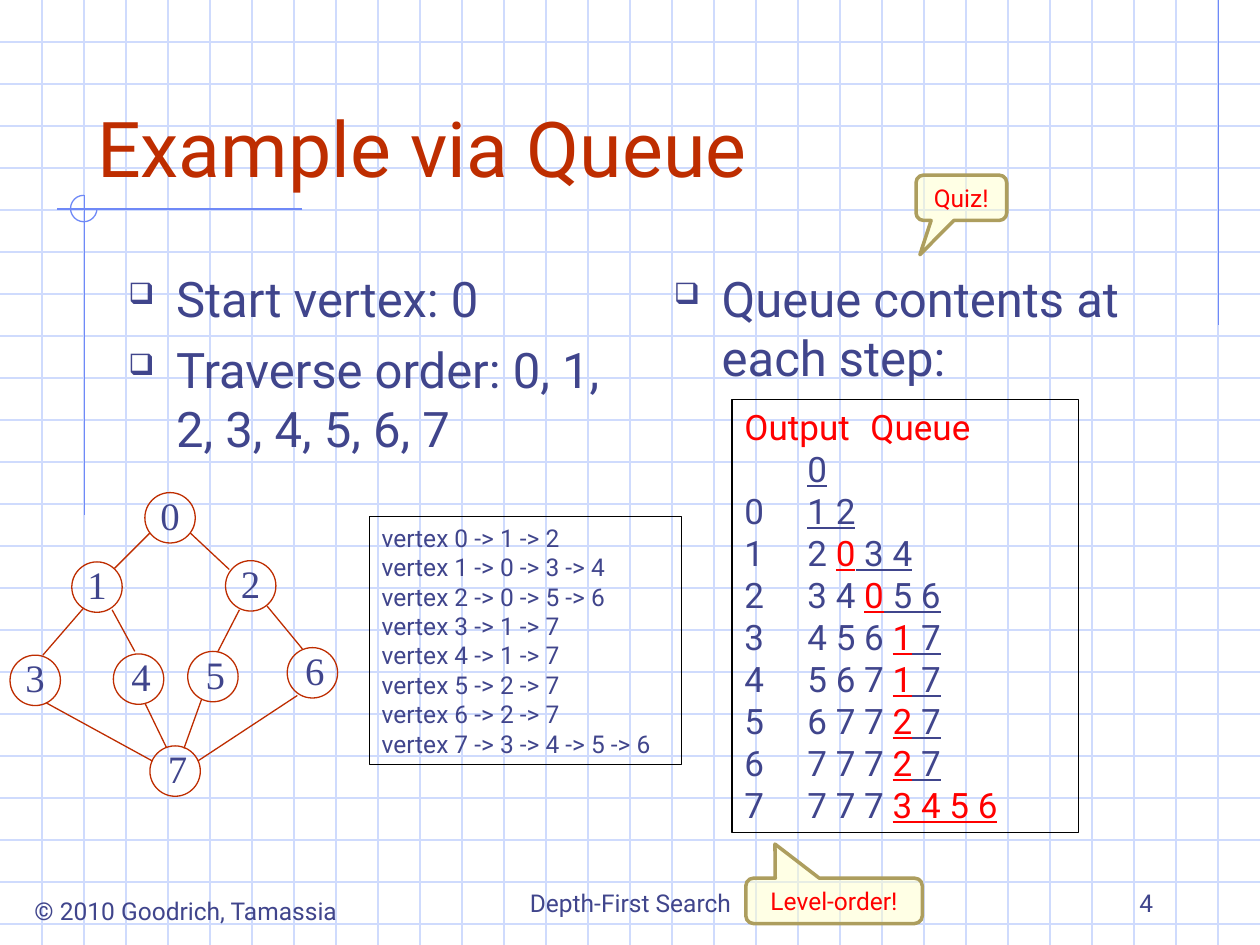
from lxml import etree
from pptx import Presentation
from pptx.dml.color import RGBColor
from pptx.enum import shapes, text
from pptx.oxml import ns
from pptx.util import Inches, Pt

INK = RGBColor(0x40, 0x45, 0x8C)
RUST = RGBColor(0xBE, 0x2D, 0x00)
RED = RGBColor(0xFF, 0x00, 0x00)
BLACK = RGBColor(0x00, 0x00, 0x00)
GRID = RGBColor(0xCF, 0xDB, 0xFD)
ACCENT = RGBColor(0x6F, 0x89, 0xF7)
CREAM = RGBColor(0xFF, 0xFF, 0xCC)
KHAKI = RGBColor(0xAD, 0x9E, 0x5E)

LEFT, CENTER, RIGHT = text.PP_ALIGN.LEFT, text.PP_ALIGN.CENTER, text.PP_ALIGN.RIGHT
TOP, MIDDLE, BOTTOM = text.MSO_ANCHOR.TOP, text.MSO_ANCHOR.MIDDLE, text.MSO_ANCHOR.BOTTOM
KIND = shapes.MSO_SHAPE

WIDTH, HEIGHT = 10, 7.5
TITLE = "Example via Queue"
BODIES = [
    ((0.92, 2.08, 4.17, 4.5), ["Start vertex: 0", "Traverse order: 0, 1, 2, 3, 4, 5, 6, 7"]),
    ((5.25, 2.08, 4.17, 4.5), ["Queue contents at each step:"]),
]
FOOTERS = [
    ("© 2010 Goodrich, Tamassia", (0.12, 7.06, 2.71, 0.34), CENTER, TOP),
    ("Depth-First Search", (3.42, 6.83, 3.17, 0.5), CENTER, BOTTOM),
    ("4", (7.17, 6.83, 2.08, 0.5), RIGHT, BOTTOM),
]
ACCENT_LINES = [
    (9.67, 0, 9.67, 2.58),
    (2.4, 1.66, 0.45, 1.66),
    (0.67, 1.55, 0.67, 4.09),
]

# Left and top of each vertex, in order of its number
VERTICES = [(1.15, 3.91), (0.57, 4.46), (1.79, 4.45), (0.08, 5.2),
            (0.9, 5.19), (1.49, 5.17), (2.28, 5.14), (1.19, 5.92)]
VERTEX_SIZE = 0.4
NUDGED_FROM = 4  # labels from this vertex on sit slightly right of centre
EDGES = [
    (1.19, 4.23, 0.91, 4.51), (1.51, 4.23, 1.82, 4.52),
    (0.66, 4.83, 0.34, 5.2), (0.89, 4.84, 1.07, 5.17),
    (1.9, 4.84, 1.73, 5.17), (2.12, 4.81, 2.4, 5.15),
    (1.15, 5.58, 1.32, 5.93), (1.6, 5.55, 1.46, 5.94),
    (0.37, 5.58, 1.21, 6.04), (2.36, 5.52, 1.57, 6.04),
]
NEIGHBOURS = [(1, 2), (0, 3, 4), (0, 5, 6), (1, 7), (1, 7), (2, 7), (2, 7), (3, 4, 5, 6)]

# Output, vertices still queued, visited ones added again, new ones added
QUEUE_STEPS = [
    ("", "", "", "0"),
    ("0", "", "", "1 2"),
    ("1", "2 ", "0", " 3 4"),
    ("2", "3 4 ", "0", " 5 6"),
    ("3", "4 5 6 ", "1", " 7"),
    ("4", "5 6 7 ", "1", " 7"),
    ("5", "6 7 7 ", "2", " 7"),
    ("6", "7 7 7 ", "2", " 7"),
    ("7", "7 7 7 ", "3 4 5 6", ""),
]
CALLOUTS = [
    ("Quiz!", (7.27, 1.39, 0.72, 0.36), (-0.457, 1.257, 0.167)),
    ("Level-order!", (5.92, 6.97, 1.4, 0.36), (-0.335, -1.253, 0.167)),
]


def inches(values):
    return [Inches(v) for v in values]


def add_line(slide, ends, color):
    line = slide.shapes.add_connector(shapes.MSO_CONNECTOR.STRAIGHT, *inches(ends))
    line.line.color.rgb = color
    line.line.width = Pt(0.75)
    etree.SubElement(line._element.spPr, ns.qn("a:effectLst"))


def add_outline(slide, kind, box, color, width=0.75):
    shape = slide.shapes.add_shape(kind, *inches(box))
    shape.shadow.inherit = False
    shape.fill.background()
    shape.line.color.rgb = color
    shape.line.width = Pt(width)
    return shape


def add_bullet(paragraph):
    props = paragraph._p.get_or_add_pPr()
    props.set("marL", str(Inches(0.38)))
    props.set("indent", str(-Inches(0.38)))
    color = etree.SubElement(props, ns.qn("a:buClr"))
    etree.SubElement(color, ns.qn("a:srgbClr"), val=str(INK))
    etree.SubElement(props, ns.qn("a:buSzPct"), val="60000")
    etree.SubElement(props, ns.qn("a:buChar"), char="❑")


def write(shape, paragraphs, size, color=INK, font="Roboto", align=LEFT, anchor=TOP,
          margins=(0.1, 0.05, 0.1, 0.05), bullets=False, gap=0, spacing=None):
    """Fill a shape; a paragraph is a string or a list of (text, font values)."""
    frame = shape.text_frame
    left, top, right, bottom = inches(margins)
    frame_format = {"word_wrap": True, "auto_size": text.MSO_AUTO_SIZE.NONE,
                    "vertical_anchor": anchor, "margin_left": left, "margin_top": top,
                    "margin_right": right, "margin_bottom": bottom}
    for name, value in frame_format.items():
        setattr(frame, name, value)
    for index, content in enumerate(paragraphs):
        paragraph = frame.add_paragraph() if index else frame.paragraphs[0]
        if bullets:
            add_bullet(paragraph)
        paragraph.alignment = align
        paragraph.line_spacing = spacing
        paragraph.space_before = Pt(gap if index else 0)
        for words, values in [(content, {})] if isinstance(content, str) else content:
            run = paragraph.add_run()
            run.text = words
            font_format = {"name": font, "size": Pt(size), **values}
            run_color = font_format.pop("color", color)
            for name, value in font_format.items():
                setattr(run.font, name, value)
            run.font.color.rgb = run_color


def queue_row(output, queued, repeated, added):
    runs = [(f"{output}\t{queued}", {}),
            (repeated, {"color": RED, "underline": True}),
            (added, {"underline": True})]
    return [run for run in runs if run[0]]


def add_grid(slide):
    for row in range(1, 23):
        add_line(slide, (0, row / 3, WIDTH, row / 3), GRID)
    for column in range(1, 30):
        add_line(slide, (column / 3, 0, column / 3, HEIGHT), GRID)
    for ends in ACCENT_LINES:
        add_line(slide, ends, ACCENT)
    arc = add_outline(slide, KIND.ARC, (0.56, 1.55, 0.21, 0.21), ACCENT)
    arc.adjustments[0], arc.adjustments[1] = 0, 162  # 0 to 270 degrees


def add_graph(slide):
    for number, (left, top) in enumerate(VERTICES):
        vertex = add_outline(slide, KIND.OVAL, (left, top, VERTEX_SIZE, VERTEX_SIZE), RUST)
        inset = 0.06 if number >= NUDGED_FROM else 0.02
        write(vertex, [str(number)], 22.2, font="Times New Roman", align=CENTER,
              anchor=MIDDLE, margins=(inset, 0.01, 0.02, 0.01), spacing=0.9)
    for ends in EDGES:
        add_line(slide, ends, RUST)


def add_callout(slide, words, box, adjustments):
    callout = add_outline(slide, KIND.ROUNDED_RECTANGULAR_CALLOUT, box, KHAKI, 2)
    for index, value in enumerate(adjustments):
        callout.adjustments[index] = value
    callout.fill.solid()
    callout.fill.fore_color.rgb = CREAM
    fill_color = callout._element.spPr.find(ns.qn("a:solidFill"))[0]
    etree.SubElement(fill_color, ns.qn("a:alpha"), val="50000")
    write(callout, [words], 14, RED, align=CENTER, anchor=MIDDLE)


def main():
    deck = Presentation()
    deck.slide_width, deck.slide_height = inches((WIDTH, HEIGHT))
    slide = deck.slides.add_slide(deck.slide_layouts[5])
    add_grid(slide)

    title = slide.shapes.title
    title.left, title.top, title.width, title.height = inches((0.67, 0.33, 8.5, 1.25))
    slide.shapes._spTree.append(title._element)  # in front of the grid
    write(title, [TITLE], 44, RUST, anchor=BOTTOM)

    for box, points in BODIES:
        write(slide.shapes.add_textbox(*inches(box)), points, 28, bullets=True, gap=7)
    for words, box, align, anchor in FOOTERS:
        write(slide.shapes.add_textbox(*inches(box)), [words], 14, align=align, anchor=anchor)

    add_graph(slide)
    queue = add_outline(slide, KIND.RECTANGLE, (5.81, 3.17, 2.75, 3.44), BLACK)
    header = [("Output\tQueue", {"color": RED})]
    write(queue, [header] + [queue_row(*step) for step in QUEUE_STEPS], 20)

    adjacency = add_outline(slide, KIND.RECTANGLE, (2.93, 4.1, 2.48, 1.97), BLACK)
    write(adjacency, [" -> ".join(map(str, (f"vertex {number}", *neighbours)))
                      for number, neighbours in enumerate(NEIGHBOURS)], 14)
    for callout in CALLOUTS:
        add_callout(slide, *callout)
    deck.save("out.pptx")


if __name__ == "__main__":
    main()
